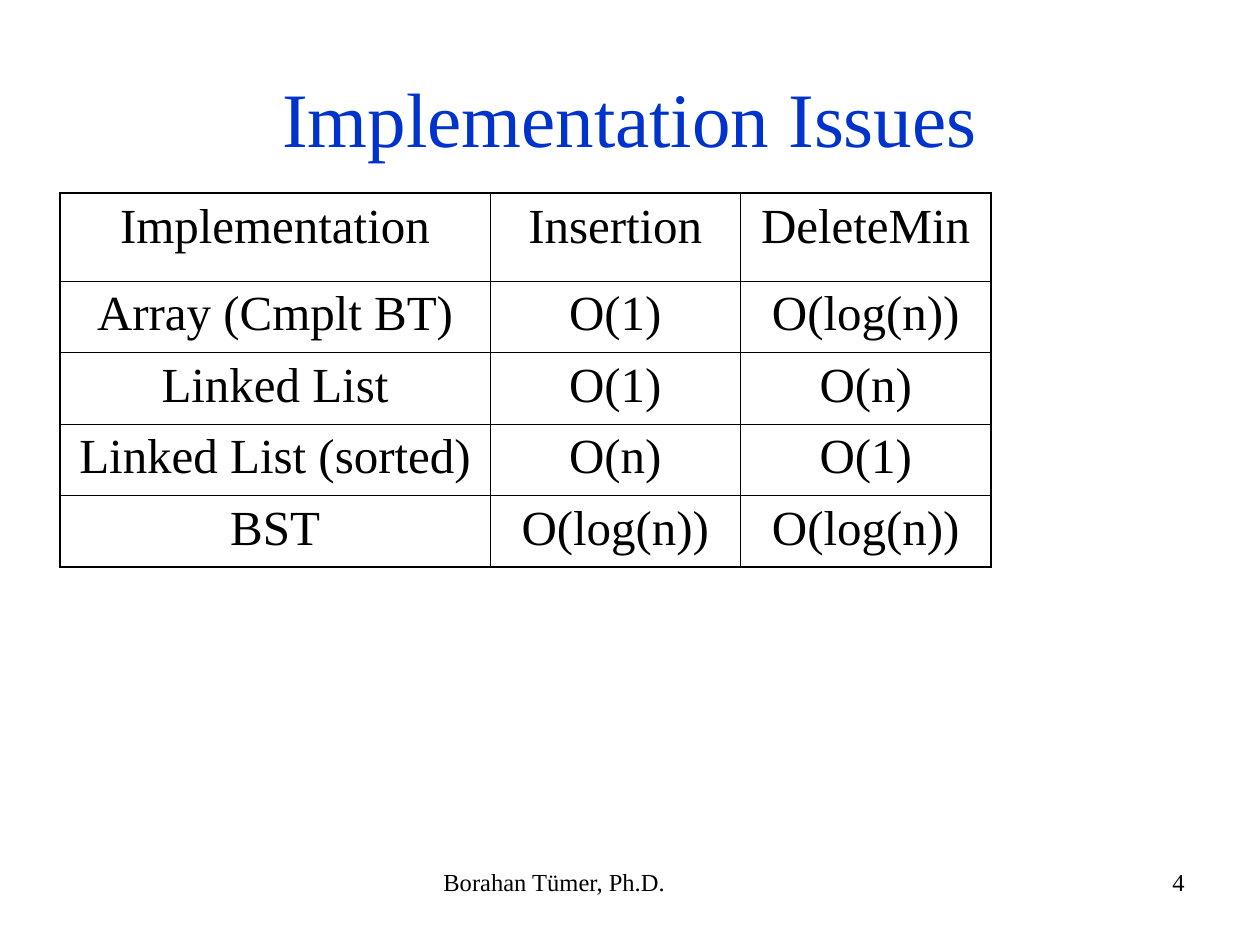
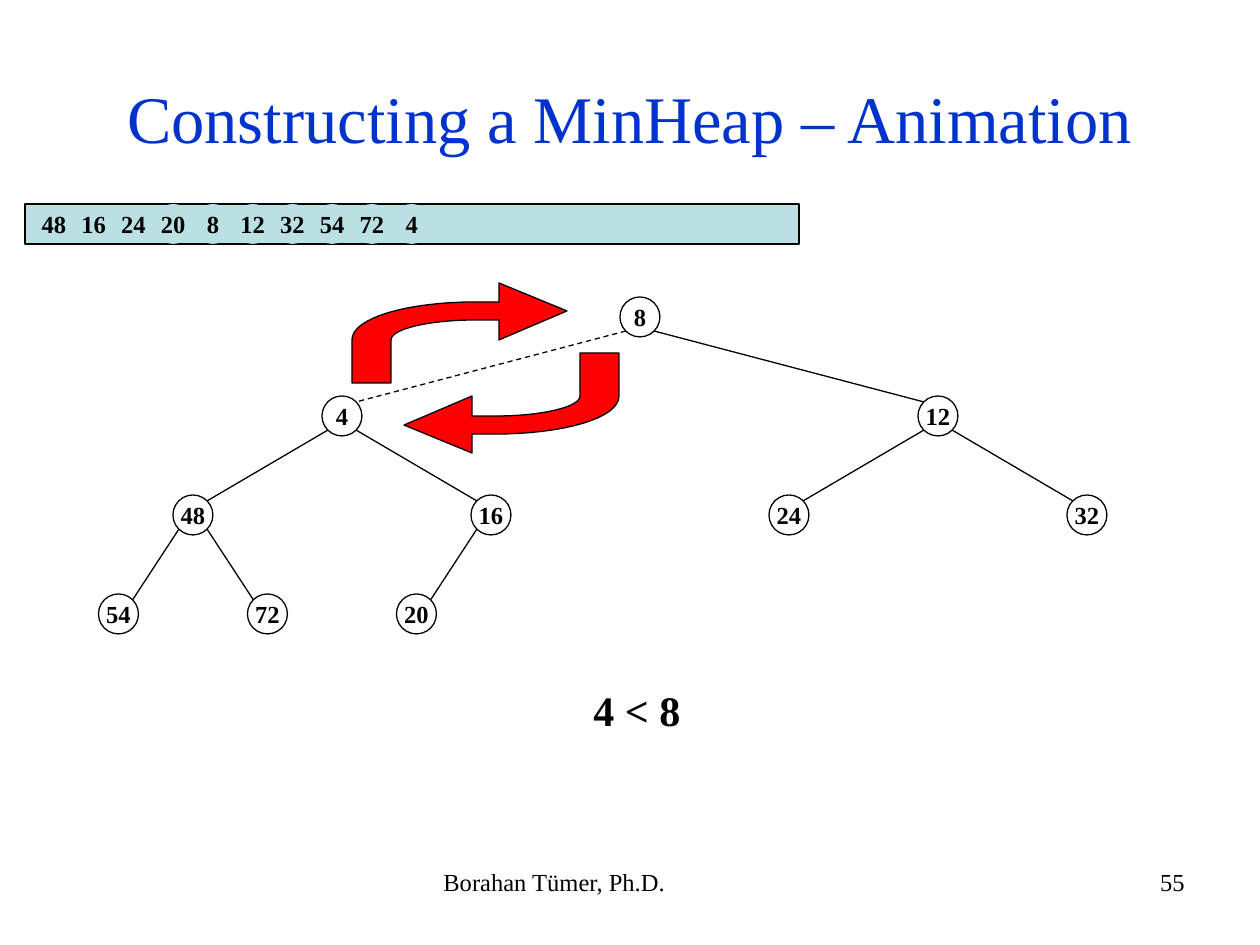
from collections import namedtuple

from lxml.etree import SubElement
from pptx import Presentation
from pptx.dml.color import RGBColor
from pptx.enum.dml import MSO_LINE
from pptx.enum.shapes import MSO_CONNECTOR, MSO_SHAPE
from pptx.enum.text import MSO_ANCHOR as Anchor, PP_ALIGN as Align
from pptx.oxml import parse_xml
from pptx.oxml.ns import nsdecls, qn
from pptx.util import Pt

EMU_PER_PX = 914400 / 126
BLACK = RGBColor(0x00, 0x00, 0x00)
WHITE = RGBColor(0xFF, 0xFF, 0xFF)
TITLE_BLUE = RGBColor(0x00, 0x33, 0xCC)
BAND_BLUE = RGBColor(0xBB, 0xE0, 0xE3)
ARROW_RED = RGBColor(0xFF, 0x00, 0x00)
FONT = "Times New Roman"
THIN, THICK, OUTLINE = 0.45, 1.08, 0.75
NODE = 40
CORNER = 14
LEVEL_STEP = 99

Box = namedtuple("Box", "left top width height")
TITLE_BOX = Box(63, 38, 1134, 158)
AUTHOR_BOX = Box(431, 861, 400, 66)
NUMBER_BOX = Box(903, 861, 294, 66)

COSTS = [
    ("Implementation", "Insertion", "DeleteMin"),
    ("Array (Cmplt BT)", "O(1)", "O(log(n))"),
    ("Linked List", "O(1)", "O(n)"),
    ("Linked List (sorted)", "O(n)", "O(1)"),
    ("BST", "O(log(n))", "O(log(n))"),
]
INPUT_KEYS = [48, 16, 24, 20, 8, 12, 32, 54, 72, 4]
HEAP_KEYS = [8, 4, 12, 48, 16, 24, 32, 54, 72, 20]
SWAPPED_CHILD = 1


def px(length):
    """Turn pixels into EMU."""
    return round(length * EMU_PER_PX)


def emu(box):
    """Turn a pixel box into EMU lengths."""
    return [px(length) for length in box]


def write(frame, text, size, color=BLACK, bold=False, align=Align.LEFT):
    """Add one formatted run to the first paragraph of a text frame."""
    paragraph = frame.paragraphs[0]
    paragraph.alignment = align
    run = paragraph.add_run()
    run.text = text
    run.font.name = FONT
    run.font.size = Pt(size)
    run.font.bold = bold
    run.font.color.rgb = color


def paint(shape, fill=None, line=None):
    """Set the fill and outline of a shape and drop its shadow."""
    shape.shadow.inherit = False
    if fill is None:
        shape.fill.background()
    else:
        shape.fill.solid()
        shape.fill.fore_color.rgb = fill
    if line is None:
        shape.line.fill.background()
    else:
        shape.line.color.rgb = line
        shape.line.width = Pt(OUTLINE)


def add_footer(slide, box, text, align):
    """Add one footer text."""
    frame = slide.shapes.add_textbox(*emu(box)).text_frame
    frame.word_wrap = True
    write(frame, text, 14, align=align)


def add_titled_slide(deck, heading, size, number):
    """Add a slide with its title, author and page number."""
    slide = deck.slides.add_slide(deck.slide_layouts[5])
    title = slide.shapes.title
    title.left, title.top, title.width, title.height = emu(TITLE_BOX)
    title.text_frame.vertical_anchor = Anchor.MIDDLE
    write(title.text_frame, heading, size, TITLE_BLUE, align=Align.CENTER)
    add_footer(slide, AUTHOR_BOX, "Borahan Tümer, Ph.D.", Align.LEFT)
    add_footer(slide, NUMBER_BOX, str(number), Align.RIGHT)
    return slide


def set_borders(cell, widths):
    """Draw the left, right, top and bottom borders of a cell."""
    properties = cell._tc.get_or_add_tcPr()
    for position, (side, width) in enumerate(zip("LRTB", widths)):
        border = parse_xml(f'<a:ln{side} {nsdecls("a")} w="{Pt(width)}"/>')
        fill = SubElement(border, qn("a:solidFill"))
        SubElement(fill, qn("a:srgbClr"), val=str(BLACK))
        properties.insert(position, border)


def add_cost_table(slide, box, first_column, header_height):
    """Add the table of operation costs."""
    last_row, last_column = len(COSTS) - 1, len(COSTS[0]) - 1
    table = slide.shapes.add_table(len(COSTS), len(COSTS[0]), *emu(box)).table
    table.first_row = table.horz_banding = False
    for index, column in enumerate(table.columns):
        column.width = px((box.width - first_column) / last_column if index else first_column)
    for index, row in enumerate(table.rows):
        row.height = px((box.height - header_height) / last_row if index else header_height)
    for r, costs in enumerate(COSTS):
        for c, cost in enumerate(costs):
            cell = table.cell(r, c)
            cell.fill.background()
            write(cell.text_frame, cost, 28, align=Align.CENTER)
            outer = (c == 0, c == last_column, r == 0, r == last_row)
            set_borders(cell, [THICK if edge else THIN for edge in outer])


def add_key(slide, left, top, key, fill=None, line=None):
    """Add a circle holding a key."""
    circle = slide.shapes.add_shape(MSO_SHAPE.OVAL, *emu(Box(left, top, NODE, NODE)))
    paint(circle, fill, line)
    frame = circle.text_frame
    frame.word_wrap = False
    frame.vertical_anchor = Anchor.MIDDLE
    frame.margin_left = frame.margin_right = frame.margin_top = frame.margin_bottom = 0
    write(frame, str(key), 14, bold=True, align=Align.CENTER)


def add_input_band(slide, box):
    """Add the band of input keys."""
    band = slide.shapes.add_shape(MSO_SHAPE.RECTANGLE, *emu(box))
    paint(band, BAND_BLUE, BLACK)
    for index, key in enumerate(INPUT_KEYS):
        fill = BAND_BLUE if index >= 3 else None
        add_key(slide, box.left + 9 + index * 39.75, box.top, key, fill)


def add_edge(slide, start, end, dashed):
    """Add a tree edge between two points."""
    edge = slide.shapes.add_connector(MSO_CONNECTOR.STRAIGHT, *emu((*start, *end)))
    edge.line.color.rgb = BLACK
    edge.line.width = Pt(OUTLINE)
    if dashed:
        edge.line.dash_style = MSO_LINE.DASH
    SubElement(edge._element.spPr, qn("a:effectLst"))


def heap_center(box, index):
    """Return the centre of the node at a heap index."""
    depth = (index + 1).bit_length() - 1
    slot = index + 1 - 2 ** depth
    x = box.left + box.width * (slot + 0.5) / 2 ** depth
    return x, box.top + NODE / 2 + depth * LEVEL_STEP


def add_heap(slide, box):
    """Add the heap as a binary tree filling the box."""
    for index in range(1, len(HEAP_KEYS)):
        parent_x, parent_y = heap_center(box, (index - 1) // 2)
        x, y = heap_center(box, index)
        side = CORNER if x > parent_x else -CORNER
        add_edge(slide, (parent_x + side, parent_y + CORNER), (x - side, y - CORNER),
                 index == SWAPPED_CHILD)
    for index, key in enumerate(HEAP_KEYS):
        x, y = heap_center(box, index)
        add_key(slide, x - NODE / 2, y - NODE / 2, key, line=BLACK)


def curve(*controls, steps=16):
    """Return points along a cubic Bézier curve."""
    points = []
    for step in range(steps + 1):
        t = step / steps
        weights = ((1 - t) ** 3, 3 * t * (1 - t) ** 2, 3 * t ** 2 * (1 - t), t ** 3)
        points.append(tuple(sum(w * p[axis] for w, p in zip(weights, controls))
                            for axis in (0, 1)))
    return points


def add_swap_arrow(slide, left, top, rotation=0):
    """Add a bent arrow for one half of the swap."""
    outline = [
        (215, 28), (147, 0), (147, 19),
        *curve((124, 19), (55, 19), (0, 35), (0, 57)),
        (0, 100), (39, 100),
        *curve((39, 57), (39, 46), (77, 37), (124, 37)),
        (147, 37), (147, 57),
    ]
    points = [(px(left + x), px(top + y)) for x, y in outline]
    builder = slide.shapes.build_freeform(*points[0])
    builder.add_line_segments(points[1:], close=True)
    arrow = builder.convert_to_shape()
    arrow.rotation = rotation
    paint(arrow, ARROW_RED, BLACK)


def add_comparison(slide, box):
    """Add the comparison that triggers the swap."""
    label = slide.shapes.add_textbox(*emu(box))
    label.fill.solid()
    label.fill.fore_color.rgb = WHITE
    label.text_frame.word_wrap = False
    write(label.text_frame, "4 < 8", 24, bold=True)


def build_costs_slide(deck):
    """Build the slide that compares implementations."""
    slide = add_titled_slide(deck, "Implementation Issues", 44, 4)
    add_cost_table(slide, Box(60, 193, 931, 374), first_column=430, header_height=88)


def build_heap_slide(deck):
    """Build the slide that shows one swap in the heap."""
    slide = add_titled_slide(deck, "Constructing a MinHeap – Animation", 38, 55)
    add_input_band(slide, Box(25, 204, 774, 40))
    add_comparison(slide, Box(581, 678, 112, 63))
    add_heap(slide, Box(44, 297, 1192, 338))
    add_swap_arrow(slide, 352, 283)
    add_swap_arrow(slide, 404, 353, rotation=180)


def main():
    """Build and save the deck."""
    deck = Presentation()
    deck.slide_width, deck.slide_height = px(1260), px(945)
    build_costs_slide(deck)
    build_heap_slide(deck)
    deck.save("out.pptx")


if __name__ == "__main__":
    main()
